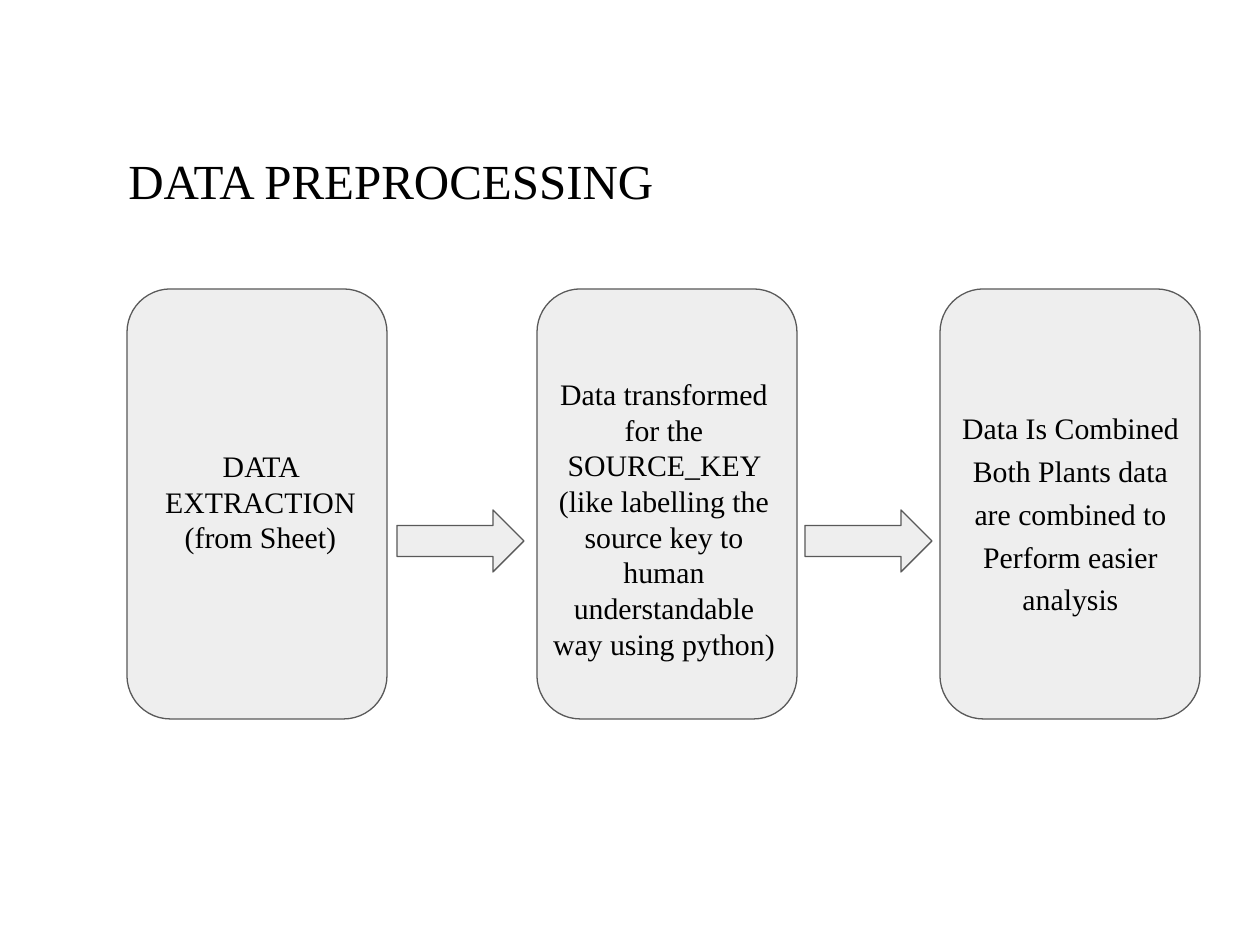
"""Build the data preprocessing slide: three stages joined by block arrows."""
from dataclasses import dataclass

from pptx import Presentation
from pptx.dml.color import RGBColor
from pptx.enum.shapes import MSO_SHAPE
from pptx.enum.text import MSO_ANCHOR, PP_ALIGN
from pptx.util import Emu, Inches, Pt

ROUNDED = MSO_SHAPE.ROUNDED_RECTANGLE
ARROW = MSO_SHAPE.RIGHT_ARROW
TOP = MSO_ANCHOR.TOP
LEFT = PP_ALIGN.LEFT
CENTER = PP_ALIGN.CENTER
PIXELS_PER_INCH = 126


@dataclass(frozen=True)
class Theme:
    font: str = "Times New Roman"
    title_size: int = 28
    body_size: int = 17
    line_width: float = 0.75
    ink: RGBColor = RGBColor(0x00, 0x00, 0x00)
    fill: RGBColor = RGBColor(0xEE, 0xEE, 0xEE)
    outline: RGBColor = RGBColor(0x59, 0x59, 0x59)


@dataclass(frozen=True)
class Area:
    left: int
    top: int
    width: int
    height: int

    def emu(self) -> list[Emu]:
        lengths = (self.left, self.top, self.width, self.height)
        return [Emu(Inches(1) * length // PIXELS_PER_INCH) for length in lengths]


@dataclass(frozen=True)
class Label:
    area: Area
    lines: tuple[str, ...]
    size: int
    alignment: PP_ALIGN = CENTER
    spacing: float = 1.0


THEME = Theme()
STAGES = [Area(left, 289, 260, 430) for left in (127, 537, 940)]
ARROWS = [Area(left, 510, 127, 62) for left in (397, 805)]
LABELS = [
    Label(Area(116, 145, 1174, 79), ("DATA PREPROCESSING",),
          THEME.title_size, LEFT, 0.9),
    Label(Area(147, 435, 227, 223), ("DATA EXTRACTION", "(from Sheet)"),
          THEME.body_size),
    Label(Area(534, 363, 260, 314),
          ("Data transformed for the SOURCE_KEY (like labelling the source key "
           "to human understandable way using python)",),
          THEME.body_size),
    Label(Area(942, 390, 257, 271),
          ("Data Is Combined",
           "Both Plants data are combined to Perform easier analysis"),
          THEME.body_size, spacing=1.2),
]


def draw_shape(slide, kind: MSO_SHAPE, area: Area) -> None:
    shape = slide.shapes.add_shape(kind, *area.emu())
    shape.shadow.inherit = False
    shape.fill.solid()
    shape.fill.fore_color.rgb = THEME.fill
    shape.line.color.rgb = THEME.outline
    shape.line.width = Pt(THEME.line_width)


def draw_label(slide, label: Label) -> None:
    frame = slide.shapes.add_textbox(*label.area.emu()).text_frame
    frame.word_wrap = True
    frame.vertical_anchor = TOP
    frame.margin_left = frame.margin_right = Inches(0.1)
    frame.margin_top = frame.margin_bottom = Inches(0.1)
    frame.text = "\n".join(label.lines)
    for paragraph in frame.paragraphs:
        paragraph.alignment = label.alignment
        paragraph.line_spacing = label.spacing
        paragraph.font.name = THEME.font
        paragraph.font.size = Pt(label.size)
        paragraph.font.color.rgb = THEME.ink


def main() -> None:
    presentation = Presentation()
    presentation.slide_width = Inches(10)
    presentation.slide_height = Inches(7.5)
    slide = presentation.slides.add_slide(presentation.slide_layouts[6])
    for stage in STAGES:
        draw_shape(slide, ROUNDED, stage)
    for arrow in ARROWS:
        draw_shape(slide, ARROW, arrow)
    for label in LABELS:
        draw_label(slide, label)
    presentation.save("out.pptx")


if __name__ == "__main__":
    main()
